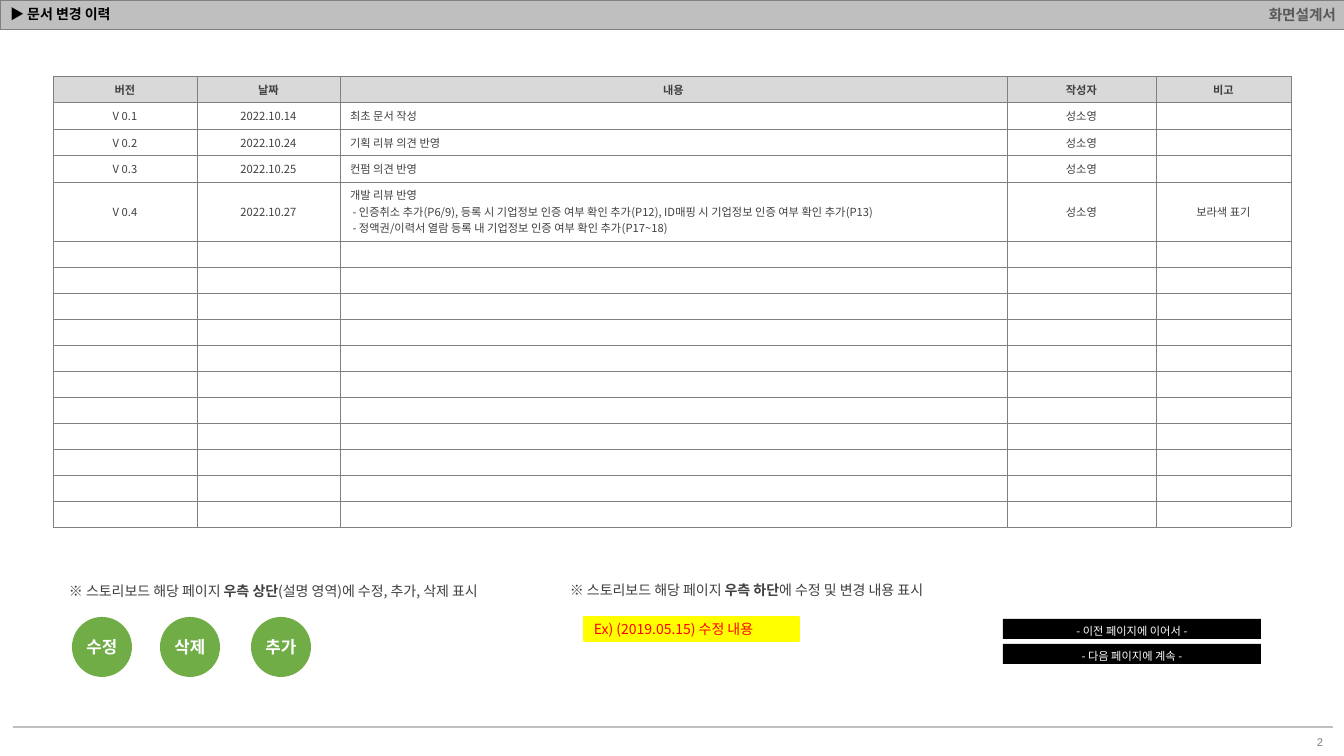
from dataclasses import dataclass
from typing import Any, Optional

import lxml.etree
import pptx
import pptx.dml.color
import pptx.enum.shapes
import pptx.enum.text
import pptx.oxml.ns
import pptx.util

EMU_PER_PX = 914400 / 100.8
KOREAN = "Noto Sans CJK KR"
GRID_COLOR = "808080"
ALIGN = pptx.enum.text.PP_ALIGN
ANCHOR = pptx.enum.text.MSO_ANCHOR
SHAPE = pptx.enum.shapes.MSO_SHAPE
qn = pptx.oxml.ns.qn


@dataclass(frozen=True)
class Style:
    """Look of a piece of text."""
    size: float
    color: str
    bold: bool = False
    font: str = KOREAN


@dataclass(frozen=True)
class Badge:
    """A filled shape with a label; lengths in pixels."""
    label: str
    kind: Any
    box: tuple[int, int, int, int]
    fill: str
    style: Style
    align: Any = ALIGN.CENTER
    anchor: Any = ANCHOR.MIDDLE
    side_inset: int = 10
    wrap: bool = True
    line: Optional[str] = None


@dataclass(frozen=True)
class Note:
    """A one-line remark with a bold middle phrase."""
    box: tuple[int, int, int, int]
    phrases: tuple[str, str, str]


def px(length: float) -> int:
    """Turn pixels into EMU."""
    return round(length * EMU_PER_PX)


def place(box: tuple[int, int, int, int]) -> list[int]:
    """Turn a pixel box into EMU."""
    return [px(length) for length in box]


def rgb(code: str) -> pptx.dml.color.RGBColor:
    """Turn a hex string into a colour."""
    return pptx.dml.color.RGBColor.from_string(code)


def style_font(font: Any, style: Style) -> None:
    """Format a font, East Asian typeface included."""
    font.size = pptx.util.Pt(style.size)
    font.bold = style.bold
    font.name = style.font
    font.color.rgb = rgb(style.color)
    latin = font._element.find(qn("a:latin"))
    east_asian = lxml.etree.Element(qn("a:ea"), typeface=KOREAN)
    latin.addnext(east_asian)


def write(frame: Any, text: str, style: Style, align: Any) -> None:
    """Fill a text frame with evenly formatted text."""
    frame.text = text
    for paragraph in frame.paragraphs:
        paragraph.alignment = align
        for run in paragraph.runs:
            style_font(run.font, style)
        if not paragraph.runs:
            lxml.etree.SubElement(paragraph._p, qn("a:endParaRPr"),
                                  sz=str(round(style.size * 100)))


def fill_cell(cell: Any, text: str, style: Style, align: Any, fill: str) -> None:
    """Write a table cell and give it a fill and thin borders."""
    cell.fill.solid()
    cell.fill.fore_color.rgb = rgb(fill)
    cell.vertical_anchor = ANCHOR.MIDDLE
    write(cell.text_frame, text, style, align)
    properties = cell._tc.get_or_add_tcPr()
    for index, side in enumerate(("a:lnL", "a:lnR", "a:lnT", "a:lnB")):
        border = lxml.etree.Element(qn(side), w=str(pptx.util.Pt(0.25)))
        solid = lxml.etree.SubElement(border, qn("a:solidFill"))
        lxml.etree.SubElement(solid, qn("a:srgbClr"), val=GRID_COLOR)
        properties.insert(index, border)


def add_grid(shapes: Any, left: int, top: int, widths: list[int],
             heights: list[int]) -> Any:
    """Add an unstyled table with the given column widths and row heights."""
    grid = shapes.add_table(len(heights), len(widths),
                            *place((left, top, sum(widths), sum(heights)))).table
    grid.first_row = False
    grid.horz_banding = False
    for column, width in zip(grid.columns, widths):
        column.width = px(width)
    for row, height in zip(grid.rows, heights):
        row.height = px(height)
    return grid


def add_badge(shapes: Any, badge: Badge) -> None:
    """Draw a labelled shape."""
    shape = shapes.add_shape(badge.kind, *place(badge.box))
    shape.shadow.inherit = False
    shape.fill.solid()
    shape.fill.fore_color.rgb = rgb(badge.fill)
    if badge.line:
        shape.line.color.rgb = rgb(badge.line)
        shape.line.width = pptx.util.Pt(1)
    else:
        shape.line.fill.background()
    frame = shape.text_frame
    frame.word_wrap = badge.wrap
    frame.vertical_anchor = badge.anchor
    frame.margin_left = frame.margin_right = px(badge.side_inset)
    write(frame, badge.label, badge.style, badge.align)


def add_note(shapes: Any, note: Note) -> None:
    """Add a remark whose middle phrase is bold."""
    frame = shapes.add_textbox(*place(note.box)).text_frame
    frame.word_wrap = False
    frame.auto_size = pptx.enum.text.MSO_AUTO_SIZE.SHAPE_TO_FIT_TEXT
    for index, phrase in enumerate(note.phrases):
        run = frame.paragraphs[0].add_run()
        run.text = phrase
        style_font(run.font, Style(10, "404040", bold=index == 1))


HEADINGS = ("버전", "날짜", "내용", "작성자", "비고")
REVISIONS = (
    ("V 0.1", "2022.10.14", "최초 문서 작성", "성소영", ""),
    ("V 0.2", "2022.10.24", "기획 리뷰 의견 반영", "성소영", ""),
    ("V 0.3", "2022.10.25", "컨펌 의견 반영", "성소영", ""),
    ("V 0.4", "2022.10.27",
     "개발 리뷰 반영\n"
     " - 인증취소 추가(P6/9), 등록 시 기업정보 인증 여부 확인 추가(P12), "
     "ID매핑 시 기업정보 인증 여부 확인 추가(P13)\n"
     " - 정액권/이력서 열람 등록 내 기업정보 인증 여부 확인 추가(P17~18)",
     "성소영", "보라색 표기"),
)
EMPTY_ROWS = 11
NOTES = (
    Note((560, 577, 420, 27),
         ("※ 스토리보드 해당 페이지 ", "우측 하단", "에 수정 및 변경 내용 표시")),
    Note((59, 578, 478, 27),
         ("※ 스토리보드 해당 페이지 ", "우측 상단", "(설명 영역)에 수정, 추가, 삭제 표시")),
)
BADGES = [Badge("Ex) (2019.05.15) 수정 내용", SHAPE.RECTANGLE, (584, 617, 215, 24),
                "FFFF00", Style(10, "FF0000"), align=ALIGN.LEFT, line="FFFF00")]
BADGES += [Badge(label, SHAPE.OVAL, (left, 617, 60, 60), "70AD47",
                 Style(12, "FFFFFF", bold=True), side_inset=2)
           for label, left in (("수정", 72), ("삭제", 160), ("추가", 251))]
BADGES += [Badge(label, SHAPE.RECTANGLE, (1003, top, 258, 20), "000000",
                 Style(8, "FFFFFF"), anchor=ANCHOR.TOP, wrap=False)
           for label, top in (("- 이전 페이지에 이어서 -", 619), ("- 다음 페이지에 계속 -", 644))]

deck = pptx.Presentation()
deck.slide_width, deck.slide_height = px(1344), px(756)
slide = deck.slides.add_slide(deck.slide_layouts[5])
shapes = slide.shapes

banner = add_grid(shapes, 0, 0, [1344], [29]).cell(0, 0)
fill_cell(banner, "화면설계서", Style(10.5, "595959", bold=True, font="Arial"),
          ALIGN.RIGHT, "BFBFBF")
banner.margin_left = banner.margin_right = px(8)
banner.margin_top = banner.margin_bottom = px(2)
banner.text_frame.paragraphs[0].space_before = pptx.util.Pt(2)

heading = shapes.title
heading.left, heading.top, heading.width, heading.height = place((0, 0, 1000, 29))
heading.text_frame.auto_size = pptx.enum.text.MSO_AUTO_SIZE.NONE
heading.text_frame.vertical_anchor = ANCHOR.MIDDLE
write(heading.text_frame, "▶ 문서 변경 이력", Style(10, "000000", bold=True), ALIGN.LEFT)
heading.text_frame.paragraphs[0].line_spacing = 0.9
heading._element.getparent().append(heading._element)  # in front of the banner

history_rows = (HEADINGS,) + REVISIONS + (("",) * len(HEADINGS),) * EMPTY_ROWS
row_heights = [59 if "\n" in row[2] else 26 for row in history_rows]
history = add_grid(shapes, 53, 76, [144, 143, 667, 149, 135], row_heights)
for row_index, row in enumerate(history_rows):
    is_heading = row_index == 0
    for column_index, text in enumerate(row):
        is_content = column_index == 2 and not is_heading
        fill_cell(history.cell(row_index, column_index), text,
                  Style(8, "404040", bold=is_heading),
                  ALIGN.LEFT if is_content else ALIGN.CENTER,
                  "D9D9D9" if is_heading else "FFFFFF")

for note in NOTES:
    add_note(shapes, note)
for badge in BADGES:
    add_badge(shapes, badge)

footer_rule = shapes.add_connector(pptx.enum.shapes.MSO_CONNECTOR.STRAIGHT,
                                   px(13), px(727), px(1333), px(727))
footer_rule.line.color.rgb = rgb("BFBFBF")
footer_rule.line.width = pptx.util.Pt(0.75)
lxml.etree.SubElement(footer_rule._element.spPr, qn("a:effectLst"))

page_number = shapes.add_textbox(*place((1286, 730, 47, 21))).text_frame
page_number.word_wrap = True
write(page_number, "2", Style(8, "808080", font="Arial"), ALIGN.RIGHT)

deck.save("out.pptx")
